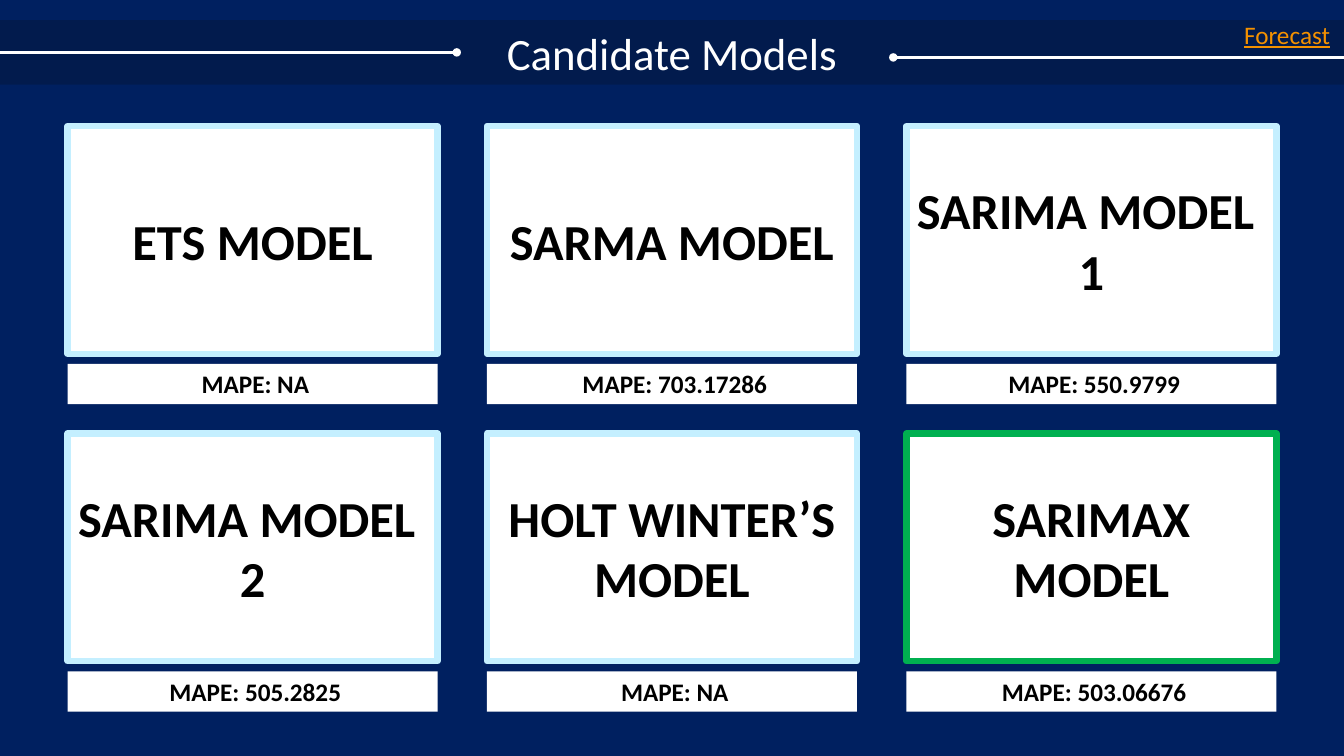
from lxml import etree
from pptx import Presentation
from pptx.dml.color import RGBColor as RGB
from pptx.enum.shapes import MSO_CONNECTOR as Conn, MSO_SHAPE as Shape
from pptx.enum.text import MSO_ANCHOR as Anchor, MSO_AUTO_SIZE as Fit, PP_ALIGN as Align
from pptx.oxml.ns import qn
from pptx.util import Inches, Pt

COLORS = {
    "background": "002060", "band": "0D0D0D", "white": "FFFFFF",
    "text": "000000", "border": "C4EFFF", "best": "00B050", "link": "F49100",
}


class SlideBuilder:
    font = "Calibri"

    def __init__(self, prs):
        self.slide = prs.slides.add_slide(prs.slide_layouts[5])
        fill = self.slide.background.fill
        fill.solid()
        fill.fore_color.rgb = self.color("background")

    def color(self, name):
        return RGB.from_string(COLORS[name])

    def set_text(self, sp, text, size, color="text", bold=False,
                 align=Align.CENTER, anchor=Anchor.TOP, underline=None):
        tf = sp.text_frame
        tf.text = text
        tf.word_wrap = True
        tf.auto_size = Fit.NONE
        tf.vertical_anchor = anchor
        for p in tf.paragraphs:
            p.alignment = align
            p.font.name = self.font
            p.font.size = Pt(size)
            p.font.bold = bold
            p.font.underline = underline
            p.font.color.rgb = self.color(color)

    def title(self, text, x, y, w, h, opacity):
        sp = self.slide.shapes.title
        sp.left, sp.top, sp.width, sp.height = map(Inches, (x, y, w, h))
        sp.fill.solid()
        sp.fill.fore_color.rgb = self.color("band")
        srgb = sp._element.spPr.find(".//" + qn("a:srgbClr"))
        etree.SubElement(srgb, qn("a:alpha"), val=str(opacity * 1000))
        self.set_text(sp, text, 32, "white")

    def label(self, text, x, y, w, h):
        sp = self.slide.shapes.add_textbox(*map(Inches, (x, y, w, h)))
        self.set_text(sp, text, 18, "link", align=Align.LEFT, underline=True)

    def box(self, text, x, y, w, h, size, border=None, anchor=Anchor.TOP):
        sp = self.slide.shapes.add_shape(Shape.RECTANGLE, *map(Inches, (x, y, w, h)))
        sp.shadow.inherit = False
        sp.fill.solid()
        sp.fill.fore_color.rgb = self.color("white")
        if border:
            sp.line.color.rgb = self.color(border)
            sp.line.width = Pt(4.5)
        else:
            sp.line.fill.background()
        self.set_text(sp, text, size, bold=True, anchor=anchor)

    def rule(self, x1, x2, y, dot_end):
        line = self.slide.shapes.add_connector(
            Conn.STRAIGHT, *map(Inches, (x1, y, x2, y)))
        line.line.color.rgb = self.color("white")
        line.line.width = Pt(2)
        sp_pr = line._element.spPr
        etree.SubElement(sp_pr.find(qn("a:ln")), qn("a:" + dot_end), type="oval")
        etree.SubElement(sp_pr, qn("a:effectLst"))


def main():
    prs = Presentation()
    prs.slide_width, prs.slide_height = Inches(13.33), Inches(7.5)
    s = SlideBuilder(prs)

    # Title band with a dotted rule on each side
    s.title("Candidate Models", 0, 0.2, 13.33, 0.64, opacity=22)
    s.rule(0, 4.53, 0.52, "tailEnd")
    s.rule(8.86, 13.33, 0.57, "headEnd")
    s.label("Forecast", 12.24, 0.14, 1.98, 0.4)

    # Model cards, each with its error score below
    models = [
        ("ETS MODEL", "NA"),
        ("SARMA MODEL", "703.17286"),
        ("SARIMA MODEL \n1", "550.9799"),
        ("SARIMA MODEL \n2", "505.2825"),
        ("HOLT WINTER’S MODEL", "NA"),
        ("SARIMAX MODEL", "503.06676"),
    ]
    for i, (name, mape) in enumerate(models):
        row, col = divmod(i, 3)
        x, y = 0.67 + 4.16 * col, 1.25 + 3.05 * row
        border = "best" if name.startswith("SARIMAX") else "border"
        s.box(name, x, y, 3.67, 2.26, 36, border, Anchor.MIDDLE)
        s.box(f" MAPE: {mape}", x, y + 2.36, 3.67, 0.4, 18)

    prs.save("out.pptx")


if __name__ == "__main__":
    main()
